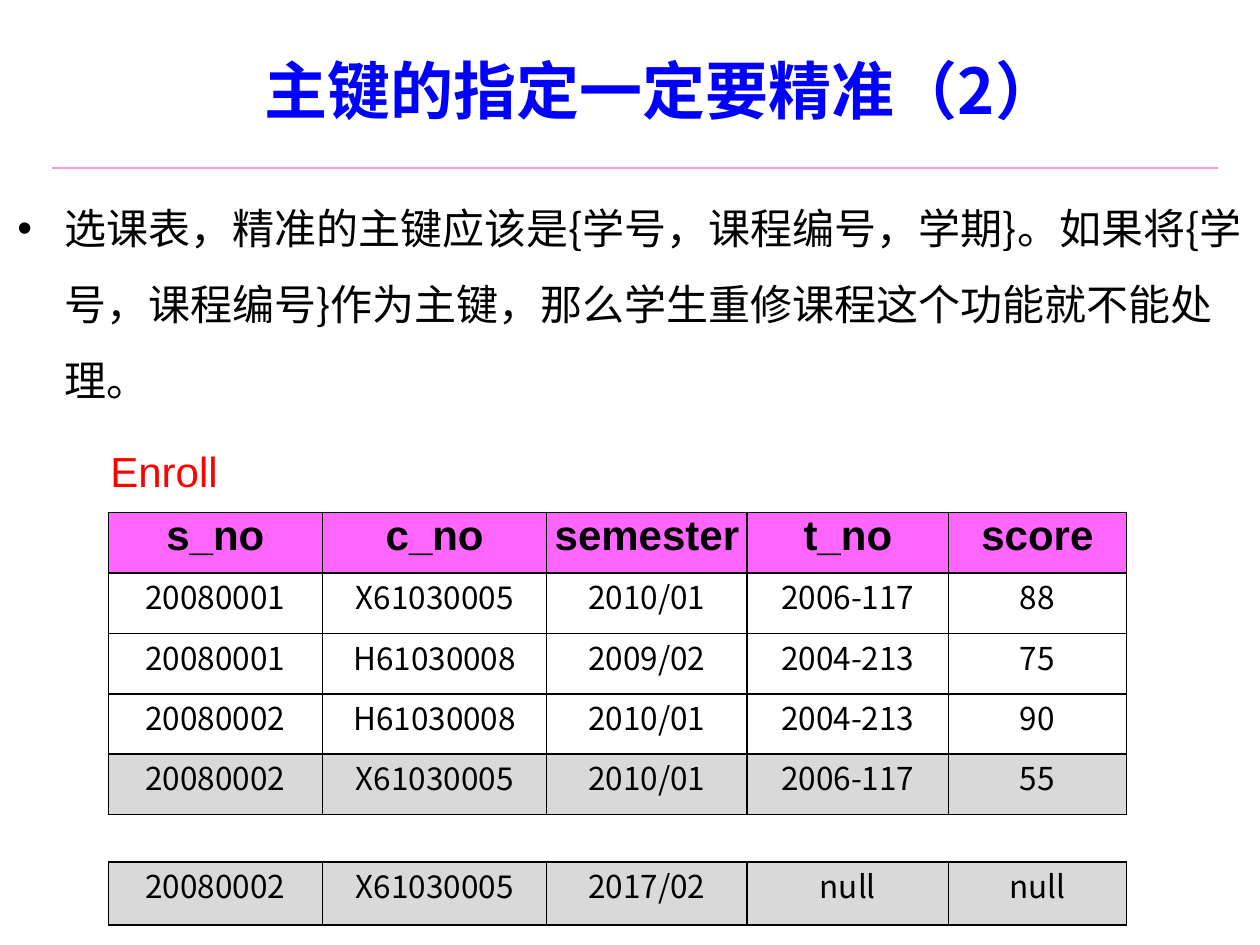
from lxml.etree import SubElement as Sub
from pptx import Presentation
from pptx.dml.color import RGBColor as RGB
from pptx.enum.shapes import MSO_CONNECTOR as Conn
from pptx.enum.text import MSO_ANCHOR as Anchor, PP_ALIGN as Align
from pptx.oxml.ns import qn
from pptx.util import Pt

TITLE = "主键的指定一定要精准（2）"
POINT = ("选课表，精准的主键应该是{学号，课程编号，学期}。"
         "如果将{学号，课程编号}作为主键，那么学生重修课程这个功能就不能处理。")
LABEL = "Enroll"
HEAD = ["s_no", "c_no", "semester", "t_no", "score"]
ROWS = [
    ["20080001", "X61030005", "2010/01", "2006-117", "88"],
    ["20080001", "H61030008", "2009/02", "2004-213", "75"],
    ["20080002", "H61030008", "2010/01", "2004-213", "90"],
    ["20080002", "X61030005", "2010/01", "2006-117", "55"],
]
EXTRA = ["20080002", "X61030005", "2017/02", "null", "null"]

HEX = {"title": "0000FF", "rule": "FF99CC", "ink": "000000", "label": "FF0000",
       "head": "FF66FF", "mark": "D9D9D9"}
SANS, HAN = "Arial", "Noto Sans CJK SC"
LEFT = 61.9
COLS = [122.4, 128.2, 114.4, 115.2, 101.5]


def tint(key):
    return RGB.from_string(HEX[key])


def write(para, text, size, face, key="ink", bold=False):
    run = para.add_run()
    run.text = text
    font = run.font
    font.size, font.name, font.bold = Pt(size), face, bold
    font.color.rgb = tint(key)
    Sub(run._r.get_or_add_rPr(), qn("a:ea"), typeface=face)


def add_box(slide, left, top, width, height, anchor):
    box = slide.shapes.add_textbox(Pt(left), Pt(top), Pt(width), Pt(height))
    frame = box.text_frame
    frame.word_wrap = True
    frame.vertical_anchor = anchor
    return frame


def edge(cell, col):
    """Draw the four cell borders; uprights right of the second column are thin."""
    props = cell._tc.get_or_add_tcPr()
    wide = {"lnL": 1 if col < 2 else 0.75, "lnR": 1 if col < 1 else 0.75,
            "lnT": 1, "lnB": 1}
    for tag, width in wide.items():
        line = Sub(props, qn("a:" + tag), w=str(Pt(width)))
        fill = Sub(line, qn("a:solidFill"))
        Sub(fill, qn("a:srgbClr"), val=HEX["ink"])


def add_grid(slide, top, step, rows):
    """Add a table from (fill key, words) rows."""
    grid = slide.shapes.add_table(len(rows), len(COLS), Pt(LEFT), Pt(top),
                                  Pt(sum(COLS)), Pt(step * len(rows))).table
    grid.first_row = grid.horz_banding = False
    for col, width in zip(grid.columns, COLS):
        col.width = Pt(width)
    for r, (key, words) in enumerate(rows):
        grid.rows[r].height = Pt(step)
        head = key == "head"
        for c, word in enumerate(words):
            cell = grid.cell(r, c)
            cell.margin_left = cell.margin_right = 0
            cell.margin_top = cell.margin_bottom = 0
            edge(cell, c)
            if key:
                cell.fill.solid()
                cell.fill.fore_color.rgb = tint(key)
            else:
                cell.fill.background()
            para = cell.text_frame.paragraphs[0]
            para.alignment = Align.CENTER
            write(para, word, 24 if head else 18, SANS if head else HAN, bold=head)


def main():
    prs = Presentation()
    prs.slide_width, prs.slide_height = Pt(720), Pt(540)
    slide = prs.slides.add_slide(prs.slide_layouts[6])

    rule = slide.shapes.add_connector(Conn.STRAIGHT, Pt(30), Pt(96), Pt(696), Pt(96))
    rule.line.color.rgb = tint("rule")
    rule.line.width = Pt(1.5)
    Sub(rule._element.spPr, qn("a:effectLst"))

    para = add_box(slide, 72, 12, 612, 78, Anchor.MIDDLE).paragraphs[0]
    para.alignment = Align.CENTER
    write(para, TITLE, 36, HAN, "title", True)

    frame = add_box(slide, 10, 98, 700.6, 152, Anchor.TOP)
    frame.margin_left = frame.margin_right = 0
    para = frame.paragraphs[0]
    para.line_spacing = 1.5
    props = para._p.get_or_add_pPr()
    props.set("marL", str(Pt(27)))
    props.set("indent", str(Pt(-27)))
    Sub(props, qn("a:buFont"), typeface=SANS)
    Sub(props, qn("a:buChar"), char="•")
    write(para, POINT, 24, HAN)

    para = add_box(slide, 56, 251, 117, 36, Anchor.MIDDLE).paragraphs[0]
    write(para, LABEL, 24, SANS, "label")

    keys = [None, None, None, "mark"]
    add_grid(slide, 293, 34.5, [("head", HEAD), *zip(keys, ROWS)])
    add_grid(slide, 492.5, 36, [("mark", EXTRA)])
    prs.save("out.pptx")


if __name__ == "__main__":
    main()
